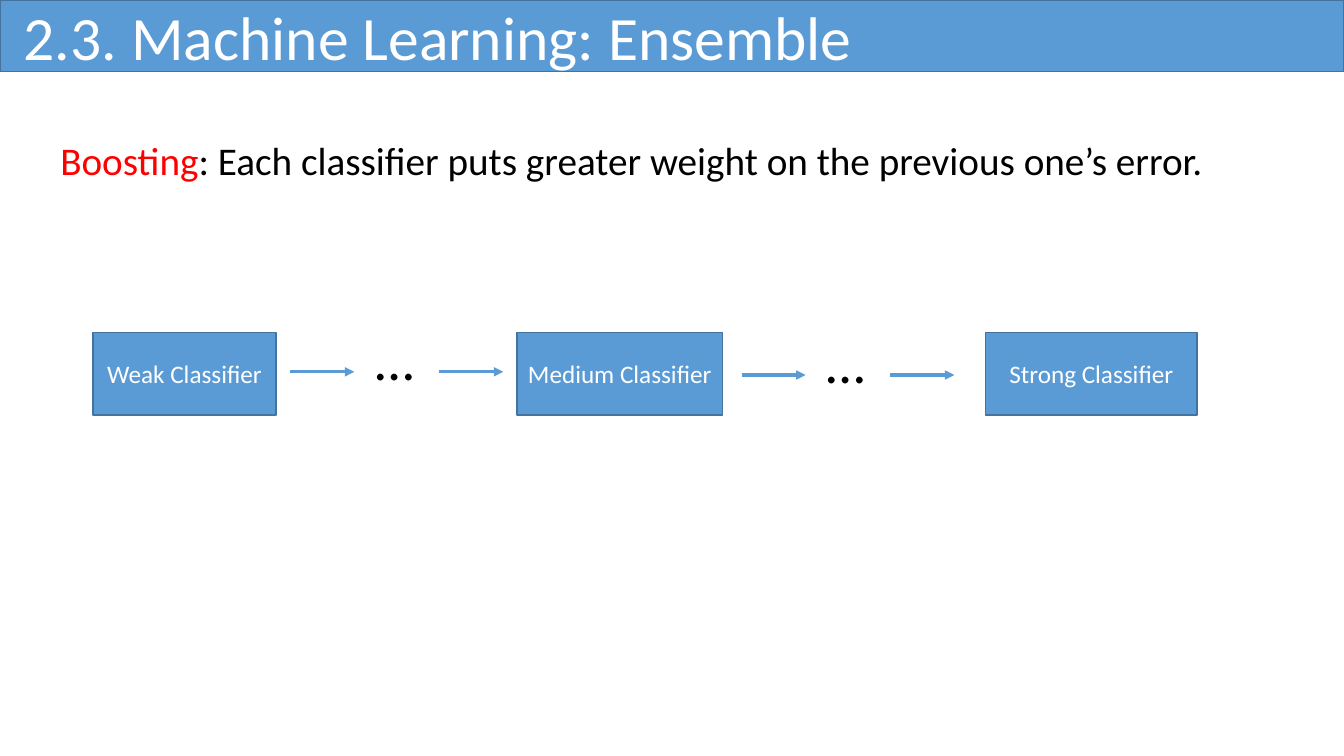
import pptx
import pptx.util
import pptx.dml.color
import pptx.enum.shapes
import pptx.enum.text
import pptx.oxml
import pptx.oxml.ns

Cm = pptx.util.Cm
Pt = pptx.util.Pt
RGBColor = pptx.dml.color.RGBColor
PP_ALIGN = pptx.enum.text.PP_ALIGN
MSO_ANCHOR = pptx.enum.text.MSO_ANCHOR
MSO_AUTO_SIZE = pptx.enum.text.MSO_AUTO_SIZE

BLUE = RGBColor(0x5B, 0x9B, 0xD5)
DARK_BLUE = RGBColor(0x43, 0x73, 0x9E)
RED = RGBColor(0xFF, 0x00, 0x00)
BLACK = RGBColor(0x00, 0x00, 0x00)
WHITE = RGBColor(0xFF, 0xFF, 0xFF)

SLIDE_WIDTH, SLIDE_HEIGHT = 33.87, 19.05
CLASSIFIER_TOP, CLASSIFIER_HEIGHT = 8.38, 2.08
CLASSIFIERS = [  # wording, left, width in cm
    ("Weak Classifier", 2.34, 4.62),
    ("Medium Classifier", 13.03, 5.18),
    ("Strong Classifier", 24.84, 5.33),
]
LINKS = [(7.32, 9.37), (18.69, 9.45)]  # left, arrow height in cm
ARROW_LENGTH = 1.61
SECOND_ARROW_OFFSET = 3.75


def apply_format(target, values):
    for name, value in values.items():
        setattr(target, name, value)


def add_words(paragraph, words, size, color):
    run = paragraph.add_run()
    run.text = words
    apply_format(run.font, {"name": "Calibri", "size": Pt(size), "bold": False})
    run.font.color.rgb = color


def paint_blue(shape):
    shape.fill.solid()
    shape.fill.fore_color.rgb = BLUE
    shape.line.color.rgb = DARK_BLUE
    shape.line.width = Pt(1)


def place_title(slide, left, top, width, height):
    title = slide.shapes.title
    apply_format(title, {"left": Cm(left), "top": Cm(top),
                         "width": Cm(width), "height": Cm(height)})
    paint_blue(title)
    apply_format(title.text_frame, {
        "margin_left": Cm(0.6), "margin_top": 0, "margin_bottom": 0,
        "vertical_anchor": MSO_ANCHOR.MIDDLE, "auto_size": MSO_AUTO_SIZE.NONE,
    })
    heading = title.text_frame.paragraphs[0]
    heading.alignment = PP_ALIGN.LEFT
    add_words(heading, "2.3. Machine Learning: Ensemble", 44, WHITE)


def add_definition(slide, left, top, width, height):
    definition = slide.shapes.add_textbox(Cm(left), Cm(top), Cm(width), Cm(height))
    definition.text_frame.word_wrap = True
    sentence = definition.text_frame.paragraphs[0]
    apply_format(sentence, {"line_spacing": 0.9, "space_before": Pt(5)})
    add_words(sentence, "Boosting", 28, RED)
    add_words(sentence, ": Each classifier puts greater weight on the previous one’s error.",
              28, BLACK)


def add_classifier(slide, wording, left, top, width, height):
    classifier = slide.shapes.add_shape(pptx.enum.shapes.MSO_SHAPE.RECTANGLE,
                                        Cm(left), Cm(top), Cm(width), Cm(height))
    classifier.shadow.inherit = False
    paint_blue(classifier)
    apply_format(classifier.text_frame, {
        "word_wrap": True, "vertical_anchor": MSO_ANCHOR.MIDDLE,
    })
    label = classifier.text_frame.paragraphs[0]
    label.alignment = PP_ALIGN.CENTER
    add_words(label, wording, 18, WHITE)


def add_arrow(slide, left, middle):
    arrow = slide.shapes.add_connector(pptx.enum.shapes.MSO_CONNECTOR.STRAIGHT,
                                       Cm(left), Cm(middle),
                                       Cm(left + ARROW_LENGTH), Cm(middle))
    arrow.line.color.rgb = BLUE
    arrow.line.width = Pt(2.25)
    tip = pptx.oxml.parse_xml(
        f'<a:tailEnd {pptx.oxml.ns.nsdecls("a")} type="triangle"/>')
    arrow.line._get_or_add_ln().append(tip)
    no_effects = pptx.oxml.parse_xml(f'<a:effectLst {pptx.oxml.ns.nsdecls("a")}/>')
    arrow._element.spPr.append(no_effects)


def add_link(slide, left, middle):
    """Draw arrow, ellipsis, arrow, starting at left along the height middle."""
    for offset in (0, SECOND_ARROW_OFFSET):
        add_arrow(slide, left + offset, middle)
    ellipsis = slide.shapes.add_textbox(Cm(left + 1.9), Cm(middle - 1.32), Cm(1.5), Cm(1.96))
    apply_format(ellipsis.text_frame, {
        "word_wrap": False, "auto_size": MSO_AUTO_SIZE.SHAPE_TO_FIT_TEXT,
    })
    add_words(ellipsis.text_frame.paragraphs[0], "…", 40, BLACK)


def add_boosting_chain(slide, top, height):
    for wording, left, width in CLASSIFIERS:
        add_classifier(slide, wording, left, top, width, height)
    for left, middle in LINKS:
        add_link(slide, left, middle)


def main():
    deck = pptx.Presentation()
    apply_format(deck, {"slide_width": Cm(SLIDE_WIDTH), "slide_height": Cm(SLIDE_HEIGHT)})
    slide = deck.slides.add_slide(deck.slide_layouts.get_by_name("Title Only"))
    place_title(slide, 0, 0, SLIDE_WIDTH, 1.8)
    add_definition(slide, 1.27, 3.45, 30.35, 2.11)
    add_boosting_chain(slide, CLASSIFIER_TOP, CLASSIFIER_HEIGHT)
    deck.save("out.pptx")


if __name__ == "__main__":
    main()
